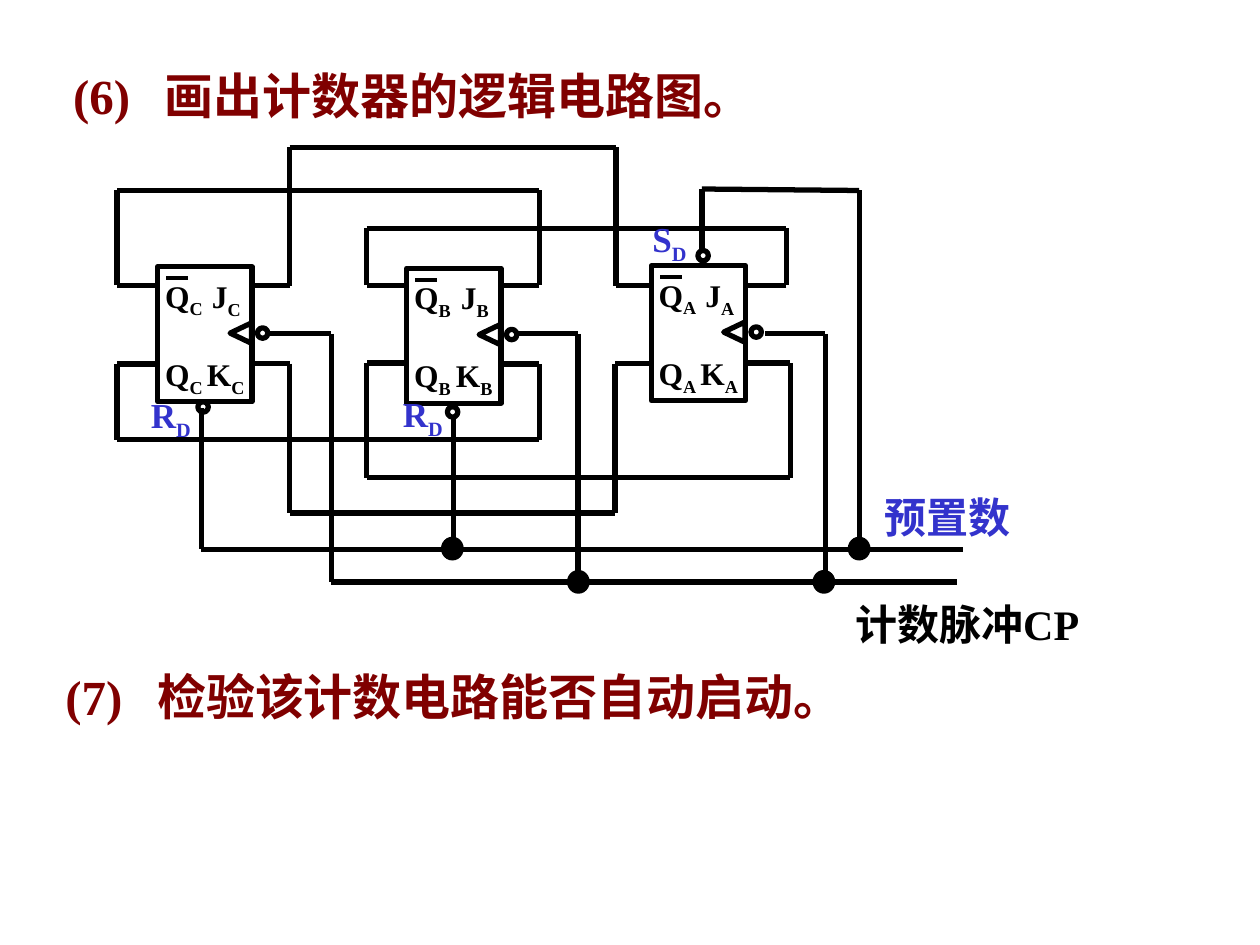
from itertools import pairwise

from pptx import Presentation
from pptx.dml.color import RGBColor
from pptx.enum.shapes import MSO_CONNECTOR, MSO_SHAPE
from pptx.enum.text import MSO_ANCHOR, MSO_AUTO_SIZE, PP_ALIGN
from pptx.util import Cm, Pt
from lxml import etree

RECT, OVAL = MSO_SHAPE.RECTANGLE, MSO_SHAPE.OVAL
TRIANGLE = MSO_SHAPE.FLOWCHART_EXTRACT
STRAIGHT = MSO_CONNECTOR.STRAIGHT
TOP, MIDDLE = MSO_ANCHOR.TOP, MSO_ANCHOR.MIDDLE
LEFT = PP_ALIGN.LEFT
FIT = MSO_AUTO_SIZE.SHAPE_TO_FIT_TEXT
A_NS = "http://schemas.openxmlformats.org/drawingml/2006/main"
BLACK, BLUE, MAROON = "000000", "3333CC", "800000"


def rgb(value):
    return RGBColor.from_string(value)


class Circuit:
    """Style and current slide of a logic circuit drawing."""

    font = {"name": "Times New Roman", "bold": True}
    bubble_size = 0.21

    def __init__(self, slide):
        self.s = slide

    def set_text(self, sp, text, size, color, anchor, sub="", hang=0):
        tf = sp.text_frame
        for key, value in {"word_wrap": True, "auto_size": FIT,
                           "vertical_anchor": anchor}.items():
            setattr(tf, key, value)
        p = tf.paragraphs[0]
        p.alignment, p.space_before = LEFT, Pt(0)
        if hang:
            pPr = p._p.get_or_add_pPr()
            pPr.set("marL", str(Cm(hang)))
            pPr.set("indent", str(-Cm(hang)))
        for part in filter(None, (text, sub)):
            r = p.add_run()
            r.text = part
            for key, value in {**self.font, "size": Pt(size)}.items():
                setattr(r.font, key, value)
            r.font.color.rgb = rgb(color)
        if sub:
            r._r.get_or_add_rPr().set("baseline", "-25000")

    def title(self, text, x, y, w, h, **kw):
        sp = self.s.shapes.title
        for key, value in zip(("left", "top", "width", "height"), (x, y, w, h)):
            setattr(sp, key, Cm(value))
        self.set_text(sp, text, 28, MAROON, MIDDLE, **kw)

    def text(self, text, x, y, w, h, size=18, color=BLACK, anchor=MIDDLE, **kw):
        sp = self.s.shapes.add_textbox(Cm(x), Cm(y), Cm(w), Cm(h))
        self.set_text(sp, text, size, color, anchor, **kw)

    def shape(self, kind, x, y, w, h, fill=None, rotation=0):
        sp = self.s.shapes.add_shape(kind, Cm(x), Cm(y), Cm(w), Cm(h))
        sp.shadow.inherit = False
        sp.rotation = rotation
        if fill:
            sp.fill.solid()
            sp.fill.fore_color.rgb = rgb(fill)
            sp.line.fill.background()
        else:
            sp.fill.background()
            sp.line.color.rgb = rgb(BLACK)
            sp.line.width = Pt(3)

    def bubble(self, x, y):
        self.shape(OVAL, x, y, self.bubble_size, self.bubble_size)

    def node(self, x, y):
        self.shape(OVAL, x, y, 0.46, 0.48, fill=BLACK)

    def wire(self, *points, width=3):
        for (x1, y1), (x2, y2) in pairwise(points):
            c = self.s.shapes.add_connector(STRAIGHT, Cm(x1), Cm(y1), Cm(x2), Cm(y2))
            c.line.color.rgb = rgb(BLACK)
            c.line.width = Pt(width)
            etree.SubElement(c._element.spPr, f"{{{A_NS}}}effectLst")

    def loop(self, x1, left, rail, right, x2, pin):
        self.wire((x1, pin), (left, pin), (left, rail),
                  (right, rail), (right, pin), (x2, pin))

    def flip_flop(self, name, x, y):
        self.shape(RECT, x, y, 1.9, 2.72)
        self.shape(TRIANGLE, x + 1.47, y + 1.12, 0.41, 0.43, rotation=270)
        self.bubble(x + 2.01, y + 1.23)
        self.wire((x + 0.61, y + 0.23), (x + 0.17, y + 0.23), width=2.25)
        for pin, dx, dy in (("Q", -0.1, 0.07), ("J", 0.84, 0.08),
                            ("Q", -0.1, 1.65), ("K", 0.74, 1.65)):
            self.text(pin, x + dx, y + dy, 1.6, 1.02, anchor=TOP, sub=name)


def main():
    prs = Presentation()
    prs.slide_width, prs.slide_height = Cm(25.4), Cm(19.05)
    c = Circuit(prs.slides.add_slide(prs.slide_layouts[5]))

    c.title("(6)\t画出计数器的逻辑电路图。", 1.22, 1.19, 21.46, 1.45, hang=1.85)
    for name, x, y in (("C", 3.18, 5.38), ("B", 8.2, 5.41), ("A", 13.13, 5.36)):
        c.flip_flop(name, x, y)

    for loop in ((3.18, 2.36, 3.84, 10.87, 10.1, 5.75),
                 (8.2, 7.39, 4.6, 15.85, 15.03, 5.75),
                 (5.08, 5.84, 2.97, 12.42, 13.13, 5.76),
                 (3.18, 2.36, 8.86, 10.87, 10.1, 7.34),
                 (8.2, 7.39, 9.63, 15.93, 15.03, 7.32),
                 (5.08, 5.84, 10.34, 12.4, 13.13, 7.33)):
        c.loop(*loop)

    preset, clock = 11.07, 11.73
    c.wire((4.06, 8.23), (4.06, preset), (19.41, preset))
    c.wire((9.14, 8.43), (9.14, preset))
    c.wire((14.15, 5.05), (14.15, 3.81), (17.32, 3.84), (17.32, preset))
    c.wire((5.44, 6.73), (6.68, 6.73), (6.68, clock), (19.3, clock))
    for x1, x2 in ((10.44, 11.65), (15.42, 16.64)):
        c.wire((x1, 6.73), (x2, 6.73), (x2, clock))

    for x, y in ((3.99, 8.1), (9.02, 8.2), (14.07, 5.05)):
        c.bubble(x, y)
    for x, y in ((8.89, 10.82), (17.09, 10.82), (11.43, 11.49), (16.38, 11.49)):
        c.node(x, y)

    for text, x, y in (("R", 2.79, 7.87), ("R", 7.87, 7.85), ("S", 12.9, 4.32)):
        c.text(text, x, y, 2, 1.09, size=20, color=BLUE, sub="D")
    c.text("预置数", 17.58, 9.78, 3.68, 1.27, size=24, color=BLUE)
    c.text("计数脉冲CP", 16.99, 11.94, 5.36, 1.27, size=24)
    c.text("(7)\t检验该计数电路能否自动启动。", 1.07, 13.31, 22.02, 1.45,
           size=28, color=MAROON, hang=1.85)
    prs.save("out.pptx")


if __name__ == "__main__":
    main()
